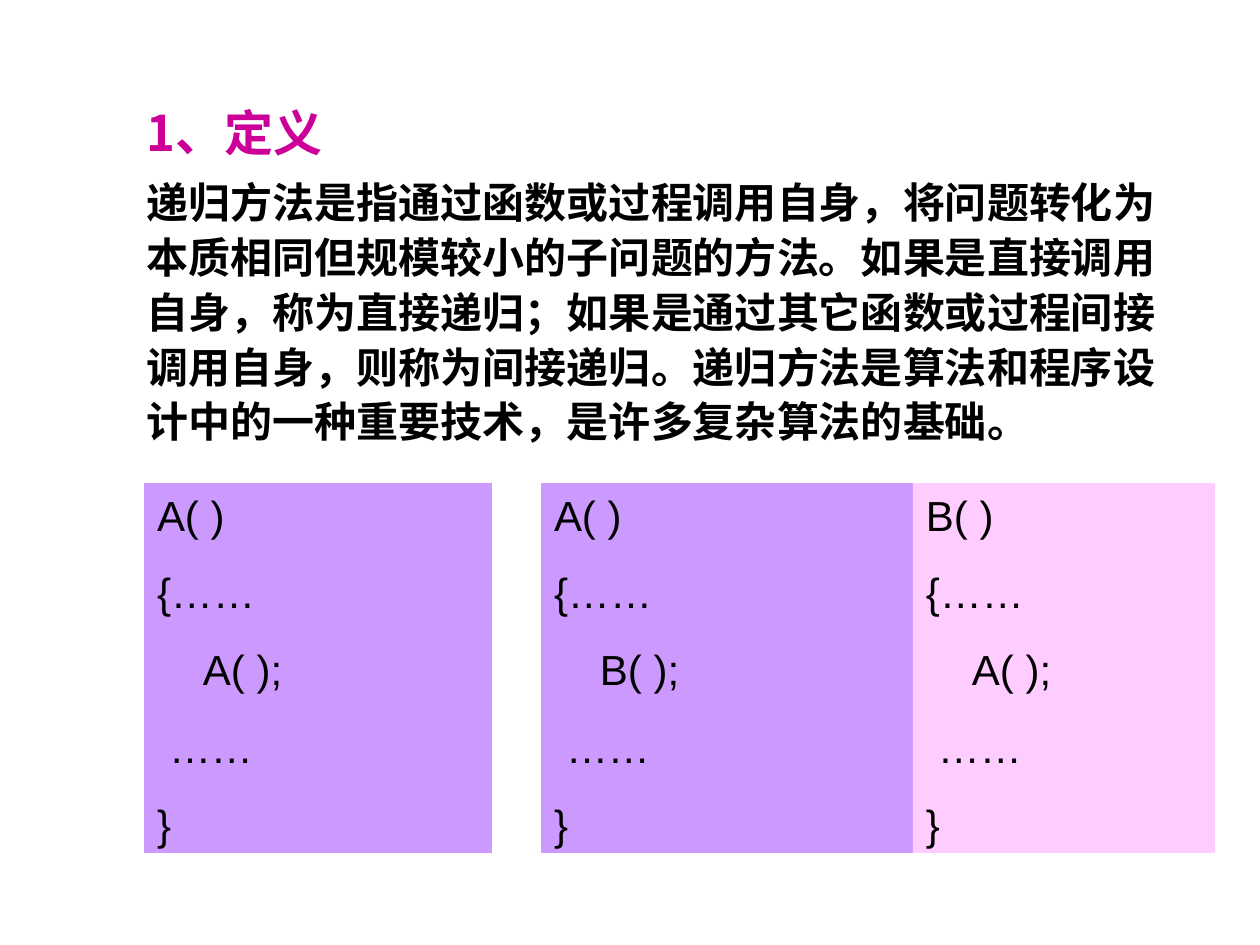
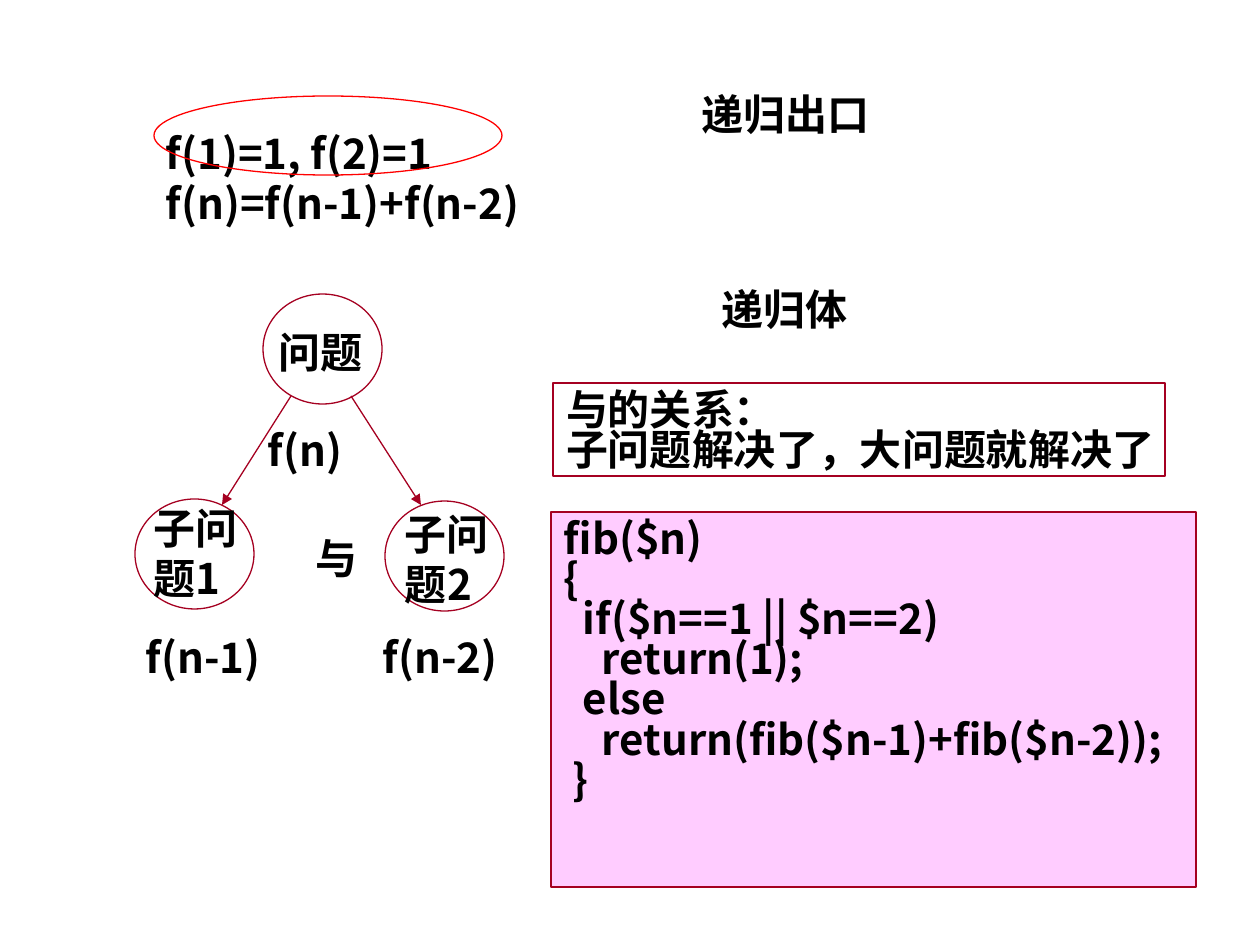
from lxml.etree import SubElement
from pptx import Presentation
from pptx.dml.color import RGBColor
from pptx.enum.shapes import MSO_CONNECTOR, MSO_SHAPE
from pptx.enum.text import MSO_ANCHOR, PP_ALIGN
from pptx.oxml.ns import qn
from pptx.util import Emu, Pt

PX = 914400 / 126
BLACK = RGBColor(0x00, 0x00, 0x00)
WHITE = RGBColor(0xFF, 0xFF, 0xFF)
MAGENTA = RGBColor(0xCC, 0x00, 0x99)
LILAC = RGBColor(0xCC, 0x99, 0xFF)
PINK = RGBColor(0xFF, 0xCC, 0xFF)
MAROON = RGBColor(0xA5, 0x00, 0x21)
RED = RGBColor(0xFF, 0x00, 0x00)
HAN_FONT = "Noto Sans CJK SC"
CODE_FONT = "Arial"
NORMAL, TIGHT, LOOSE = 50, 40, 55


def px(length):
    """Turn a length in px into EMU."""
    return Emu(round(length * PX))


def draw_shape(slide, box, kind=MSO_SHAPE.RECTANGLE, fill=None, line=None):
    """Add a flat preset shape with an optional fill and thin outline."""
    shape = slide.shapes.add_shape(kind, *map(px, box))
    shape.shadow.inherit = False
    if fill is None:
        shape.fill.background()
    else:
        shape.fill.solid()
        shape.fill.fore_color.rgb = fill
    if line is None:
        shape.line.fill.background()
    else:
        shape.line.color.rgb = line
        shape.line.width = Pt(0.75)
    return shape


def style_line(paragraph, size=24, color=BLACK, font=HAN_FONT, bold=True,
               pitch=NORMAL, before=0, indent=0, align=PP_ALIGN.LEFT):
    """Set the spacing, indent and font of one line of text."""
    paragraph.alignment = align
    paragraph.line_spacing = Pt(round(pitch * 4 / 7, 1))
    paragraph.space_before = Pt(before)
    properties = paragraph._p.get_or_add_pPr()
    properties.set("marL", str(px(indent)))
    properties.set("indent", "0")
    for run in paragraph.runs:
        run.font.size = Pt(size)
        run.font.bold = bold
        run.font.name = font
        run.font.color.rgb = color
        SubElement(run._r.get_or_add_rPr(), qn("a:ea"), typeface=font)


def write(holder, lines, indents=None, left=13, top=11,
          anchor=MSO_ANCHOR.TOP, **style):
    """Fill a shape or text box with equally styled lines."""
    frame = holder.text_frame
    frame.word_wrap = True
    frame.vertical_anchor = anchor
    frame.margin_left, frame.margin_right = px(left), px(6)
    frame.margin_top, frame.margin_bottom = px(top), px(6)
    frame.text = "\n".join(lines)
    for paragraph, indent in zip(frame.paragraphs, indents or [0] * len(lines)):
        style_line(paragraph, indent=indent, **style)
    return frame


def label(slide, box, *lines, **style):
    """Add a plain text box."""
    return write(slide.shapes.add_textbox(*map(px, box)), lines, **style)


def arrow(slide, start, end):
    """Draw a thin line with a triangle at its end."""
    branch = slide.shapes.add_connector(
        MSO_CONNECTOR.STRAIGHT, *map(px, start + end))
    branch.line.color.rgb = MAROON
    branch.line.width = Pt(0.75)
    SubElement(branch.line._get_or_add_ln(), qn("a:tailEnd"), type="triangle")
    SubElement(branch._element.spPr, qn("a:effectLst"))


def definition(slide, box):
    """Write the heading and the definition of recursion."""
    frame = write(draw_shape(slide, box, fill=WHITE), [
        "1、定义",
        "递归方法是指通过函数或过程调用自身，将问题转化为本质相同但规模较小的"
        "子问题的方法。如果是直接调用自身，称为直接递归；如果是通过其它函数或"
        "过程间接调用自身，则称为间接递归。递归方法是算法和程序设计中的一种"
        "重要技术，是许多复杂算法的基础。",
    ], pitch=LOOSE, before=6)
    style_line(frame.paragraphs[0], size=28, color=MAGENTA, pitch=64)


def call_block(slide, box, caller, callee, fill):
    """Show one function whose body calls another."""
    write(draw_shape(slide, box, fill=fill),
          [f"{caller}( )", "{……", f"{callee}( );", "……", "}"],
          indents=[0, 0, 46, 12, 0], top=6, font=CODE_FONT, bold=False,
          pitch=51, before=15)


def call_patterns(slide, box):
    """Set direct recursion beside indirect recursion."""
    left, top, height = box
    for offset, width, caller, callee, fill in (
            (0, 348, "A", "A", LILAC),
            (397, 372, "A", "B", LILAC),
            (769, 302, "B", "A", PINK)):
        call_block(slide, (left + offset, top, width, height),
                   caller, callee, fill)


def recurrence(slide, box):
    """Write the recurrence and ring its base case."""
    left, top, width, height = box
    label(slide, (left, top + 21, width, height - 21),
          "f(1)=1, f(2)=1", "f(n)=f(n-1)+f(n-2)", indents=[9, 9],
          align=PP_ALIGN.JUSTIFY)
    draw_shape(slide, (left + 10, top, 348, 79), MSO_SHAPE.OVAL, line=RED)


def problem_tree(slide, left, top):
    """Split the problem into two subproblems joined by "and"."""
    for x, y in ((128, 0), (0, 205), (250, 207)):
        draw_shape(slide, (left + x, top + y, 119, 110),
                   MSO_SHAPE.OVAL, line=MAROON)
    for start_x, end_x in ((156, 87), (216, 286)):
        arrow(slide, (left + start_x, top + 102), (left + end_x, top + 211))
    for x, y, width, caption in (
            (131, 22, 109, "问题"), (120, 120, 126, "f(n)"),
            (-2, 327, 176, "f(n-1)"), (235, 327, 176, "f(n-2)")):
        label(slide, (left + x, top + y, width, 63), caption)
    label(slide, (left + 168, top + 238, 67, 53), "与", pitch=TIGHT)
    for x, y, number in ((19, 204, 1), (270, 210, 2)):
        label(slide, (left + x, top + y, 94, 106),
              "子问", f"题{number}", left=0, top=5)


def part_name(slide, box, name):
    """Name one part of the recursion in the middle of its box."""
    write(draw_shape(slide, box), [name], align=PP_ALIGN.CENTER,
          anchor=MSO_ANCHOR.MIDDLE)


def relation(slide, box):
    """State how the subproblems settle the problem."""
    write(draw_shape(slide, box, line=MAROON),
          ["与的关系：", "子问题解决了，大问题就解决了"], pitch=TIGHT)


def fib_code(slide, box):
    """Show the recursive Fibonacci function."""
    write(draw_shape(slide, box, fill=PINK, line=MAROON),
          ["fib($n)", "{", "if($n==1 || $n==2)", "return(1);", "else",
           "return(fib($n-1)+fib($n-2));", "}"],
          indents=[0, 0, 19, 38, 19, 38, 9], pitch=TIGHT)


def definition_slide(slide):
    """Lay out the definition and the two kinds of recursion."""
    definition(slide, (134, 86, 1062, 365))
    call_patterns(slide, (144, 483, 370))


def fibonacci_slide(slide):
    """Lay out the Fibonacci example."""
    recurrence(slide, (144, 96, 834, 134))
    problem_tree(slide, 135, 294)
    fib_code(slide, (551, 512, 645, 375))
    relation(slide, (553, 383, 612, 93))
    part_name(slide, (618, 69, 328, 84), "递归出口")
    part_name(slide, (617, 264, 328, 84), "递归体")


def main():
    """Build both slides and save them."""
    deck = Presentation()
    deck.slide_width, deck.slide_height = px(1260), px(945)
    for layout in (definition_slide, fibonacci_slide):
        layout(deck.slides.add_slide(deck.slide_layouts[6]))
    deck.save("out.pptx")


if __name__ == "__main__":
    main()
